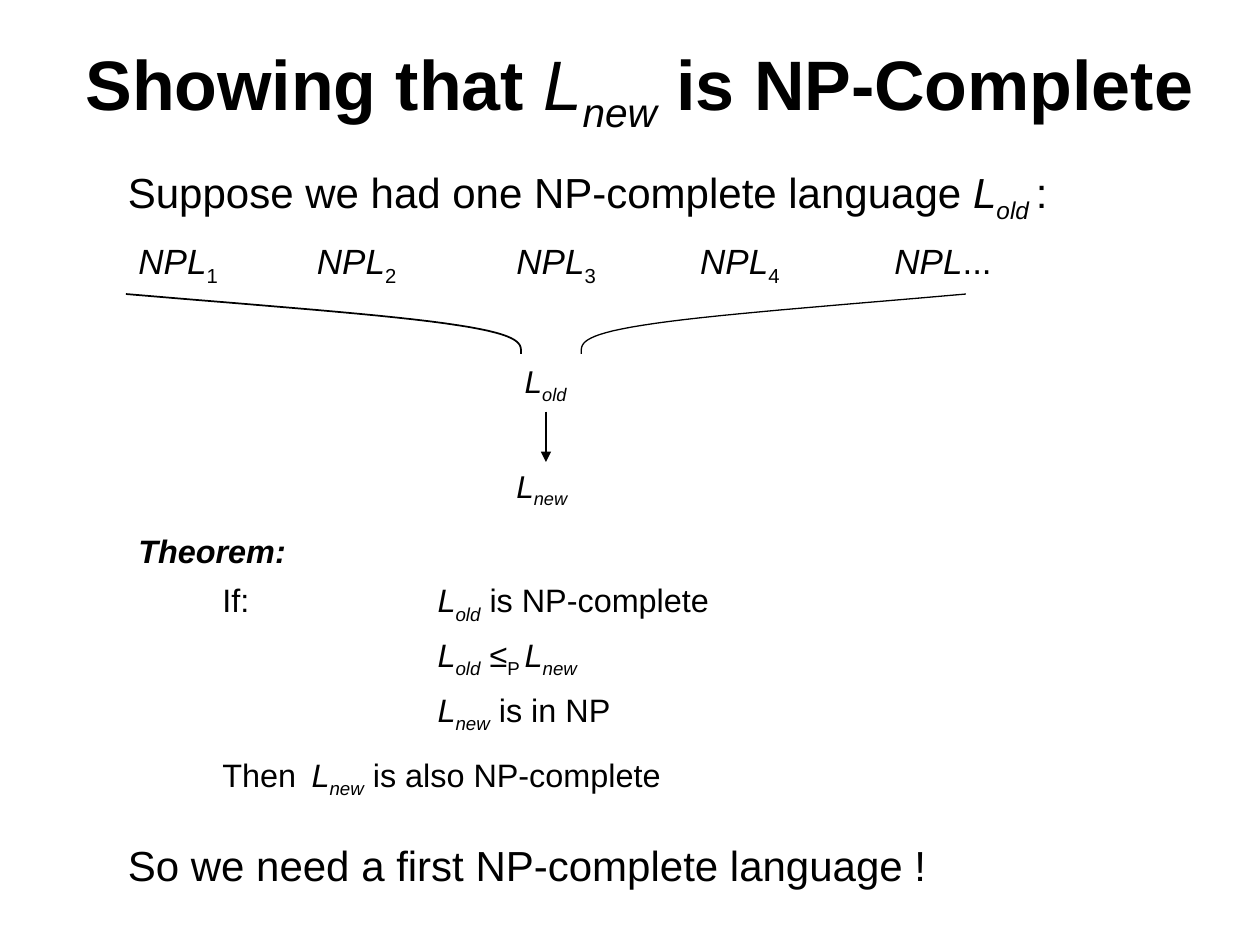
from lxml.etree import SubElement
from pptx import Presentation
from pptx.dml.color import RGBColor
from pptx.enum.shapes import MSO_CONNECTOR as Conn
from pptx.enum.text import MSO_ANCHOR as Anchor, PP_ALIGN as Align
from pptx.oxml.ns import qn
from pptx.util import Inches, Pt

BLACK = RGBColor(0, 0, 0)
FONT = "Arial"
COLS, ROWS = 120, 90
CURVES = (
    ((0, 0), (0.33, 0.19), (0.67, 0.35), (0.83, 0.52)),
    ((0.83, 0.52), (1, 0.69), (0.99, 0.85), (0.99, 1)),
)
OLD = (("L", "i"), ("old", "is"))
NEW = (("L", "i"), ("new", "is"))


def cell(n):
    """Turn a count of grid cells into a length."""
    return Inches(10 * n / COLS)


def add_text(s, box, paras, size, tabs=(), before=(), align=Align.LEFT, anchor=Anchor.TOP):
    """Write paragraphs of (text, style[, size]) runs; styles are b, i and s for subscript."""
    tf = s.shapes.add_textbox(*map(cell, box)).text_frame
    tf.word_wrap, tf.vertical_anchor = True, anchor
    for n, runs in enumerate(paras):
        p = tf.paragraphs[0] if n == 0 else tf.add_paragraph()
        p.alignment = align
        if n and before:
            p.space_before = Pt(before[n - 1])
        if tabs:
            tab_list = SubElement(p._p.get_or_add_pPr(), qn("a:tabLst"))
            for pos in tabs[n]:
                SubElement(tab_list, qn("a:tab"), pos=str(cell(pos)), algn="l")
        for text, style, *own in runs:
            r = p.add_run()
            r.text = text
            r.font.name, r.font.size = FONT, Pt(own[0] if own else size)
            r.font.bold, r.font.italic = "b" in style, "i" in style
            r.font.color.rgb = BLACK
            if "s" in style:
                r._r.get_or_add_rPr().set("baseline", "-25000")


def add_title(s, box):
    """Place the centred title."""
    runs = [("Showing that ", "b"), *NEW, (" is NP-Complete", "b"), (" ", "", 48)]
    add_text(s, box, [runs], 40, align=Align.CENTER, anchor=Anchor.MIDDLE)


def add_brace(s, box, width, mirrored=False):
    """Draw one half brace running from the outer top corner to the centre."""
    x, y, w, h = box
    pts = []
    for a, b, c, d in CURVES:
        for k in range(17):
            t = k / 16
            u, v = (
                (1 - t) ** 3 * a[i] + 3 * (1 - t) ** 2 * t * b[i] + 3 * (1 - t) * t**2 * c[i] + t**3 * d[i]
                for i in (0, 1)
            )
            pts.append((cell(x + w * (1 - u if mirrored else u)), cell(y + h * v)))
    fb = s.shapes.build_freeform(*pts[0])
    fb.add_line_segments(pts[1:], close=False)
    sp = fb.convert_to_shape()
    sp.shadow.inherit = False
    sp.fill.background()
    sp.line.color.rgb, sp.line.width = BLACK, Pt(width)


def add_arrow(s, x, top, bottom):
    """Draw the downward arrow."""
    cx = s.shapes.add_connector(Conn.STRAIGHT, cell(x), cell(top), cell(x), cell(bottom))
    cx.line.color.rgb, cx.line.width = BLACK, Pt(1.5)
    SubElement(cx.line._get_or_add_ln(), qn("a:tailEnd"), type="triangle")
    SubElement(cx._element.spPr, qn("a:effectLst"))


def add_reduction(s, box):
    """Place the known languages, the braces and the step from old to new."""
    x, y, w, h = box
    labels = []
    for n, sub in enumerate("1234."):
        labels.append(("\tNPL" if n else "NPL", "i", 20))
        labels.append(("...", "", 20) if sub == "." else (sub, "s", 20))
    paras = [labels, [("\t", ""), *OLD], [("\t", ""), *NEW]]
    add_text(s, box, paras, 18, tabs=((17, 36, 53.5, 72), (36.8,), (36,)), before=(43, 35))
    add_brace(s, (x, y + 5.8, 38, 5.7), 1)
    add_brace(s, (x + 43, y + 5.8, 37, 5.7), 0.75, mirrored=True)
    add_arrow(s, x + 40, y + 17, y + 21.8)


def add_theorem(s, box):
    """Place the theorem with its conditions and conclusion."""
    paras = [
        [("Theorem:", "bi")],
        [("\tIf:\t", ""), *OLD, (" is NP-complete", "")],
        [("\t", ""), *OLD, (" ≤", ""), ("P ", "s"), *NEW],
        [("\t", ""), *NEW, (" is in NP", "")],
        [("\tThen\t", ""), *NEW, (" is also NP-complete", "")],
    ]
    tabs = ((8,), (8, 28.5), (28.5,), (28.5,), (8, 16.5))
    add_text(s, box, paras, 18.5, tabs=tabs, before=(6, 6, 6, 12))


def main():
    """Build and save the slide."""
    prs = Presentation()
    prs.slide_width, prs.slide_height = cell(COLS), cell(ROWS)
    s = prs.slides.add_slide(prs.slide_layouts[6])
    add_title(s, (6, 3, 112, 9.4))
    add_reduction(s, (12, 22.2, 101, 26.8))
    add_theorem(s, (12, 50, 101, 27))
    add_text(s, (11, 15.3, 98, 6.7), [[("Suppose we had one NP-complete language ", ""), OLD[0], ("old ", "is"), (":", "")]], 24)
    add_text(s, (11, 79.4, 98, 6), [[("So we need a first NP-complete language !", "")]], 24)
    prs.save("out.pptx")


if __name__ == "__main__":
    main()
